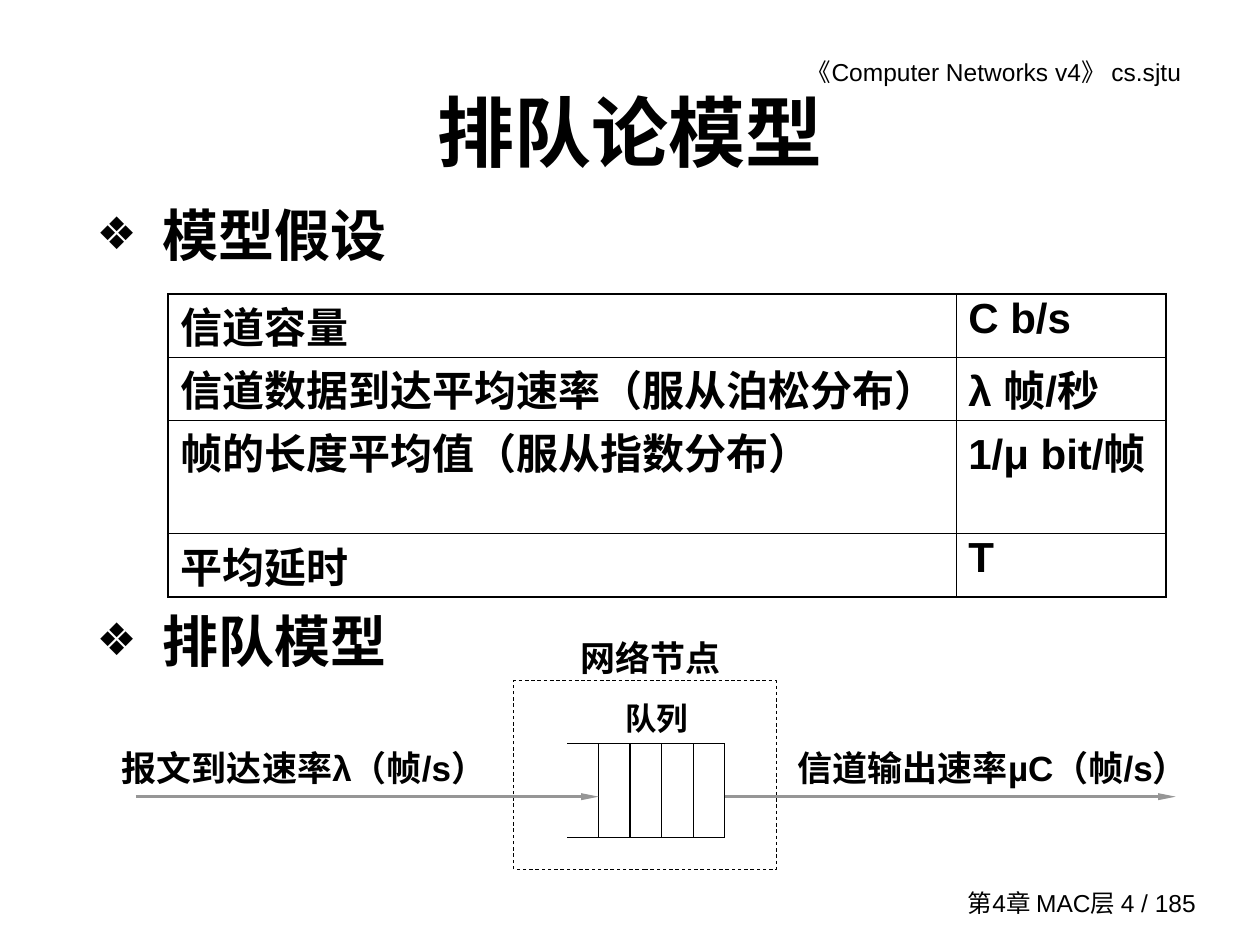
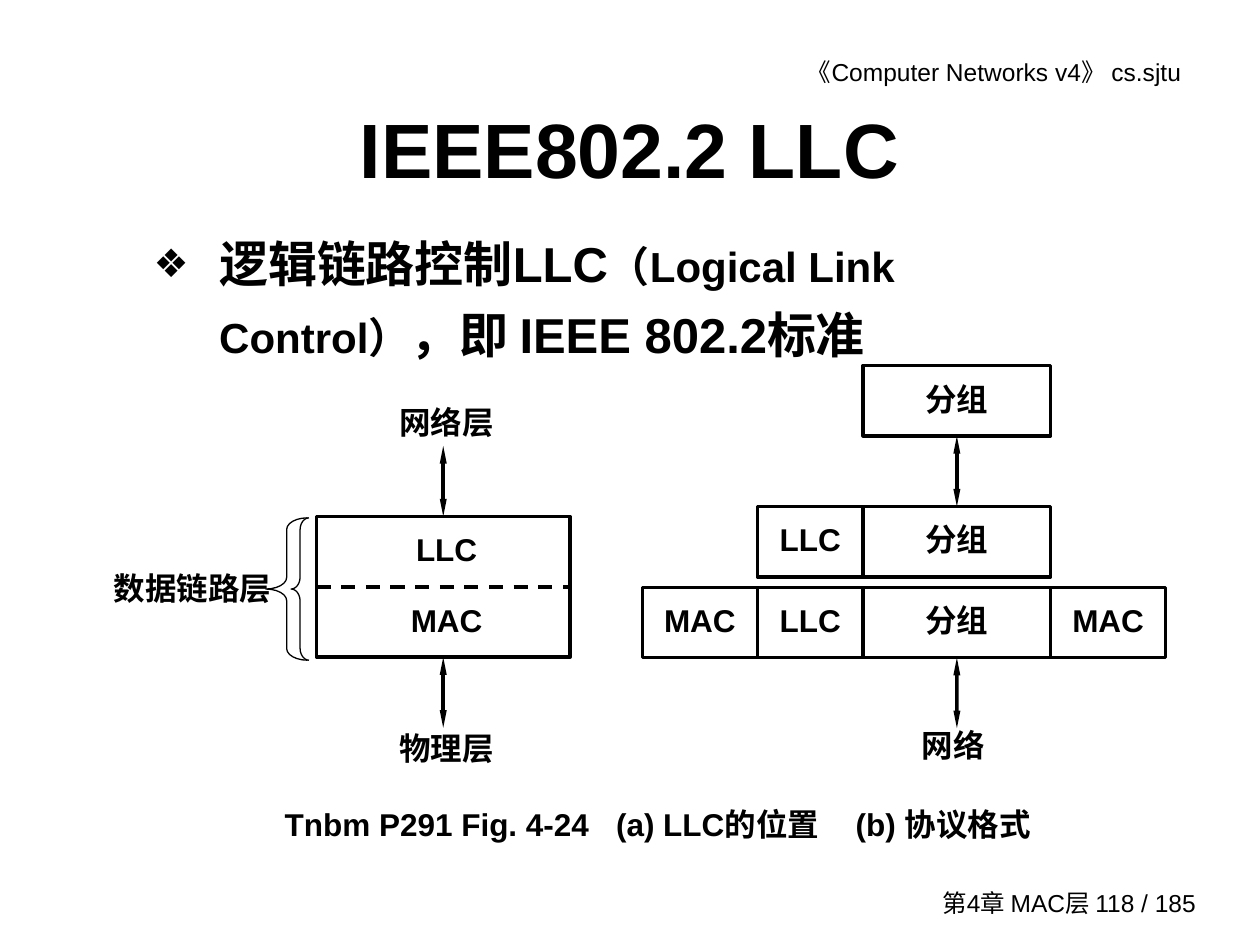
from lxml import etree
from pptx import Presentation
from pptx import util as u
from pptx.dml.color import RGBColor
from pptx.enum import dml, shapes, text
from pptx.oxml import ns

INK = {"black": "000000", "grey": "969696"}
FONT = "Arial"
ALIGN = text.PP_ALIGN
HEAD = "《Computer Networks v4》 cs.sjtu"
FOOT = "第4章 MAC层 {} / 185"
WIDE = (0.25, 0.13)   # side and top insets
SLIM = (0.05, 0.03)

# Queueing model
MODEL = {"title": "排队论模型", "page": 4, "box": (1.9, 1.27, 21.59, 2.74)}
POINTS = [("模型假设", 4.01), ("排队模型", 12.19)]
GRID = [
    ("信道容量", "C b/s"),
    ("信道数据到达平均速率（服从泊松分布）", "λ 帧/秒"),
    ("帧的长度平均值（服从指数分布）", "1/μ bit/帧"),
    ("平均延时", "T"),
]
GRID_AT = (3.39, 5.93)
GRID_COLS = (15.88, 4.24)
GRID_ROWS = (1.27, 1.27, 2.29, 1.27)
NODE = (10.36, 13.72, 5.29, 3.81)
QUEUE = {"left": 11.43, "right": 14.61, "top": 14.99, "foot": 16.89, "slots": 5}
FLOW_Y = 16.06
FLOWS = [(14.61, 23.7), (2.74, 12.07)]
MARKS = [  # words, box, size
    ("队列", (12.07, 13.97, 2.34, 1.02), 18),
    ("网络节点", (11.43, 12.7, 3.38, 1.12), 20),
    ("报文到达速率λ（帧/s）", (1.9, 14.91, 8.46, 1.96), 20),
    ("信道输出速率µC（帧/s）", (15.67, 14.91, 8.69, 1.96), 20),
]

# Link control
LINK = {"title": "IEEE802.2 LLC", "page": 118, "box": (1.9, 1.7, 21.59, 2.54)}
CLAIM = [("逻辑链路控制LLC", 28), ("（Logical Link Control）", 24),
         ("，即 IEEE 802.2标准", 28)]
CAPTION = "Tnbm P291 Fig. 4-24\t(a) LLC的位置\t(b) 协议格式"
CAPTION_TABS = (6.68, 11.51)
TALL = 1.42
HOST = (6.38, 10.41, 5.11, 2 * TALL)
LAYERS = [  # words, left, top, width, line spacing
    ("LLC", 7.52, 10.41, 2.97, 1.2),
    ("MAC", 7.52, 11.84, 2.97, 1.2),
    ("数据链路层", 1.9, 11.18, 3.96, 1.2),
    ("物理层", 7.52, 14.27, 2.97, 1.4),
    ("网络层", 7.52, 7.77, 2.97, 1.3),
    ("网络", 18.06, 14.27, 2.31, 1.3),
]
BRACES = [((5.87, 10.44, 0.36, 2.87), 0.67), ((5.36, 10.44, 0.84, 2.87), 0.28)]
FIELDS = [("MAC", 12.95), ("LLC", 15.27), ("分组", 17.4), ("MAC", 21.18)]
FIELD_END = 23.5
FRAMES = [(7.37, (2,)), (10.21, (1, 2)), (11.84, (0, 1, 2, 3))]  # top, fields


def cms(vals):
    return [u.Cm(v) for v in vals]


def ink(name):
    return RGBColor.from_string(INK[name])


def sub(parent, tag, **attrs):
    return etree.SubElement(parent, ns.qn("a:" + tag), attrs)


def style(para, size, bold=True, align=None, gap=None):
    font = para.font
    font.name, font.size, font.bold = FONT, u.Pt(size), bold
    font.color.rgb = ink("black")
    if align is not None:
        para.alignment = align
    if gap:
        para.line_spacing = gap


def setup(frame, inset=WIDE, anchor=text.MSO_ANCHOR.TOP):
    side, top = cms(inset)
    frame.margin_left = frame.margin_right = side
    frame.margin_top = frame.margin_bottom = top
    frame.word_wrap = True
    frame.auto_size = text.MSO_AUTO_SIZE.NONE
    frame.vertical_anchor = anchor


def label(slide, words, box, size=18, bold=True, align=ALIGN.CENTER, gap=None,
          anchor=text.MSO_ANCHOR.TOP):
    frame = slide.shapes.add_textbox(*cms(box)).text_frame
    setup(frame, anchor=anchor)
    para = frame.paragraphs[0]
    para.text = words
    style(para, size, bold, align, gap)
    return frame


def bullet(slide, runs, box, gap=None):
    """Add a diamond point; runs are (words, size) pairs."""
    frame = slide.shapes.add_textbox(*cms(box)).text_frame
    setup(frame, SLIM)
    para = frame.paragraphs[0]
    props = para._p.get_or_add_pPr()
    props.set("marL", str(u.Cm(1.32)))
    props.set("indent", str(-u.Cm(1.32)))
    sub(sub(props, "buClr"), "srgbClr", val=INK["black"])
    sub(props, "buSzPct", val="80000")
    sub(props, "buFont", typeface=FONT)
    sub(props, "buChar", char="❖")
    style(para, runs[0][1], gap=gap)
    for words, size in runs:
        run = para.add_run()
        run.text, run.font.size = words, u.Pt(size)


def outline(slide, box, width, kind=shapes.MSO_SHAPE.RECTANGLE, dash=None):
    shape = slide.shapes.add_shape(kind, *cms(box))
    shape.shadow.inherit = False
    shape.fill.background()
    shape.line.color.rgb = ink("black")
    shape.line.width = u.Pt(width)
    if dash:
        shape.line.dash_style = dash
    return shape


def line(slide, start, end, width, color="black", dash=None, tips=()):
    wire = slide.shapes.add_connector(shapes.MSO_CONNECTOR.STRAIGHT,
                                      *cms(start + end))
    wire.line.color.rgb = ink(color)
    wire.line.width = u.Pt(width)
    if dash:
        wire.line.dash_style = dash
    for tip in tips:
        sub(wire.line._get_or_add_ln(), tip, type="triangle", w="sm", len="lg")
    sub(wire._element.spPr, "effectLst")
    return wire


def begin(deck, info):
    """Add a slide with its title, header and footer."""
    slide = deck.slides.add_slide(deck.slide_layouts[5])
    title = slide.shapes.title
    title.left, title.top, title.width, title.height = cms(info["box"])
    title.text_frame.text = info["title"]
    setup(title.text_frame, SLIM, text.MSO_ANCHOR.MIDDLE)
    style(title.text_frame.paragraphs[0], 44, align=ALIGN.CENTER)
    head = label(slide, HEAD, (13.61, 1.02, 10.74, 0.86), 14, False, ALIGN.RIGHT)
    head.margin_right = u.Cm(0.54)
    label(slide, FOOT.format(info["page"]), (18.54, 17.78, 5.82, 0.84), 14,
          False, ALIGN.RIGHT, anchor=text.MSO_ANCHOR.MIDDLE)
    return slide


def border(cell, edges):
    """Draw cell borders; edges maps a side to True where it is an outer one."""
    props = cell._tc.get_or_add_tcPr()
    for side, outer in edges.items():
        edge = sub(props, "ln" + side, w=str(u.Pt(1.08 if outer else 0.45)))
        sub(sub(edge, "solidFill"), "srgbClr", val=INK["black"])
    cell.fill.background()


def add_grid(slide):
    rows, cols = len(GRID_ROWS), len(GRID_COLS)
    size = (sum(GRID_COLS), sum(GRID_ROWS))
    table = slide.shapes.add_table(rows, cols, *cms(GRID_AT + size)).table
    table.first_row = table.horz_banding = False
    for col, width in zip(table.columns, GRID_COLS):
        col.width = u.Cm(width)
    for r, pair in enumerate(GRID):
        table.rows[r].height = u.Cm(GRID_ROWS[r])
        for c, words in enumerate(pair):
            cell = table.cell(r, c)
            cell.text = words
            cell.margin_left = cell.margin_right = u.Cm(WIDE[0])
            # The rows are only just taller than a line of Chinese text
            cell.margin_top, cell.margin_bottom = cms((0.02, 0))
            style(cell.text_frame.paragraphs[0], 24)
            border(cell, {"L": c == 0, "R": c == cols - 1,
                          "T": r == 0, "B": r == rows - 1})


def add_queue(slide):
    left, right, top, foot, slots = QUEUE.values()
    outline(slide, NODE, 0.5, dash=dml.MSO_LINE.DASH)
    for y in (top, foot):
        line(slide, (left, y), (right, y), 0.75)
    for i in range(1, slots + 1):
        x = left + i * (right - left) / slots
        line(slide, (x, top), (x, foot), 0.75)
    for start, end in FLOWS:
        line(slide, (start, FLOW_Y), (end, FLOW_Y), 2, "grey", tips=["tailEnd"])


def add_model(deck):
    slide = begin(deck, MODEL)
    for words, top in POINTS:
        bullet(slide, [(words, 32)], (1.9, top, 21.59, 1.5))
    add_queue(slide)
    for words, box, size in MARKS:
        label(slide, words, box, size)
    add_grid(slide)


def add_stack(slide):
    left, top, width, tall = HOST
    mid, foot, x = top + tall / 2, top + tall, left + width / 2
    host = outline(slide, HOST, 2)
    line(slide, (left, mid), (left + width, mid), 2, dash=dml.MSO_LINE.DASH)
    for box, curl in BRACES:
        brace = outline(slide, box, 0.75, shapes.MSO_SHAPE.LEFT_BRACE)
        brace.adjustments[0] = curl
    both = ("headEnd", "tailEnd")
    line(slide, (x, top - TALL), (x, top), 2, tips=both).end_connect(host, 0)
    line(slide, (x, foot), (x, foot + TALL), 2, tips=both).begin_connect(host, 2)


def add_frames(slide):
    edges = [x for _, x in FIELDS] + [FIELD_END]
    packets = []
    for top, picks in FRAMES:
        for i in picks:
            words, left = FIELDS[i]
            shape = outline(slide, (left, top, edges[i + 1] - left, TALL), 2)
            setup(shape.text_frame)
            para = shape.text_frame.paragraphs[0]
            para.text = words
            style(para, 18, align=ALIGN.CENTER, gap=1.2)
            if i == 2:
                packets.append(shape)
    x = (edges[2] + edges[3]) / 2
    upper, inner, outer = packets
    tops = [top for top, _ in FRAMES]
    both = ("headEnd", "tailEnd")
    wire = line(slide, (x, tops[0] + TALL), (x, tops[1]), 2, tips=both)
    wire.begin_connect(upper, 2)
    wire.end_connect(inner, 0)
    foot = tops[2] + TALL
    line(slide, (x, foot), (x, foot + TALL), 2, tips=both).begin_connect(outer, 2)


def add_link(deck):
    slide = begin(deck, LINK)
    bullet(slide, CLAIM, (3.05, 4.45, 18.8, 3.53), 1.2)
    frame = label(slide, CAPTION, (5.49, 16.1, 17.1, 1.42), align=ALIGN.LEFT)
    props = frame.paragraphs[0]._p.get_or_add_pPr()
    tabs = etree.Element(ns.qn("a:tabLst"))
    for stop in CAPTION_TABS:
        sub(tabs, "tab", pos=str(u.Cm(stop)), algn="l")
    props.insert(0, tabs)
    add_stack(slide)
    add_frames(slide)
    for words, left, top, width, gap in LAYERS:
        label(slide, words, (left, top, width, TALL), gap=gap)


def main():
    deck = Presentation()
    deck.slide_width, deck.slide_height = cms((25.4, 19.05))
    add_model(deck)
    add_link(deck)
    deck.save("out.pptx")


if __name__ == "__main__":
    main()
